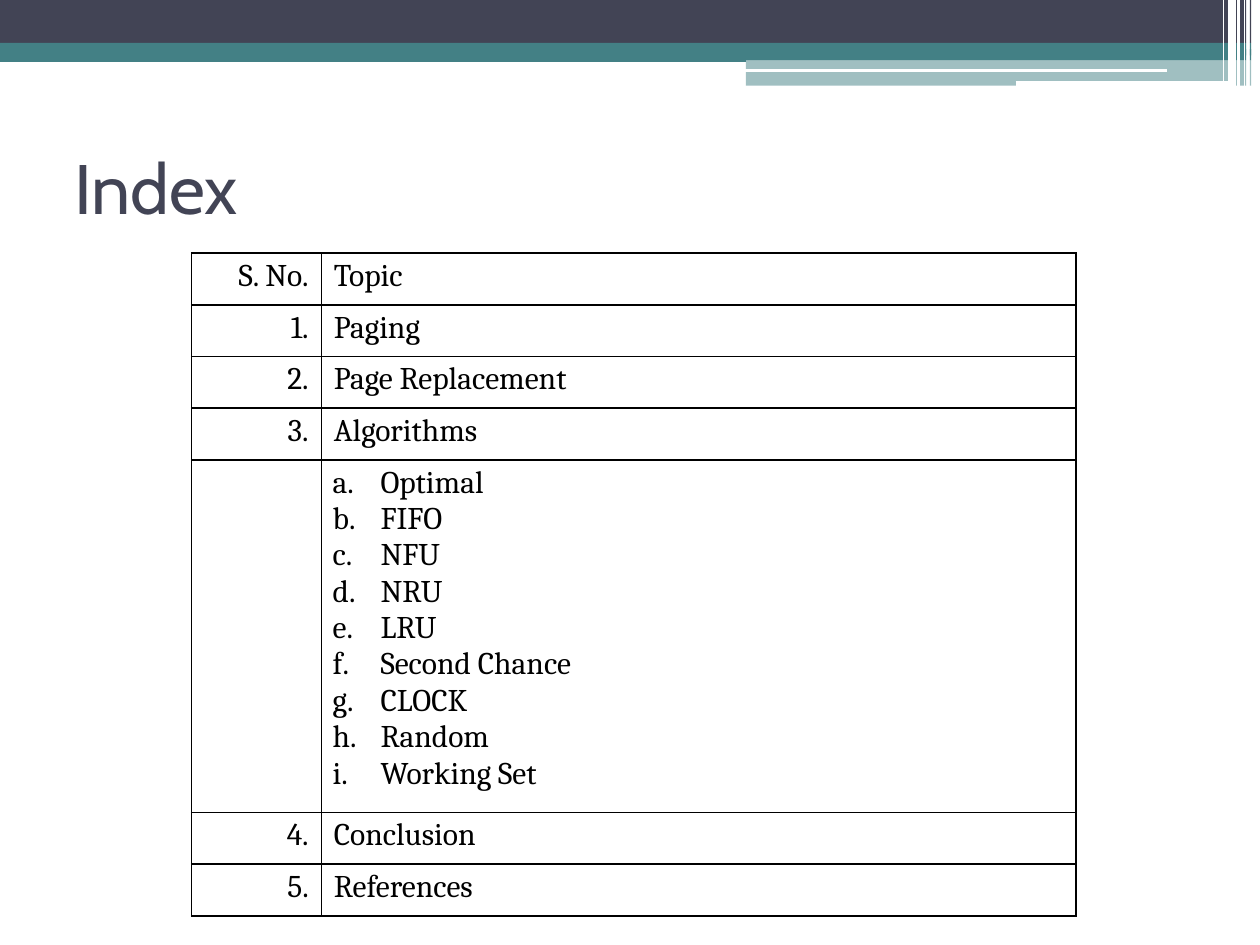
from typing import NamedTuple

from lxml.etree import SubElement
from pptx import Presentation
from pptx.dml.color import RGBColor as RGB
from pptx.enum.shapes import MSO_CONNECTOR as Link, MSO_SHAPE as Kind
from pptx.enum.text import MSO_ANCHOR as Anchor, MSO_AUTO_SIZE as Fit, PP_ALIGN as Align
from pptx.oxml import parse_xml
from pptx.oxml.ns import nsdecls, qn
from pptx.util import Inches, Pt

HUES = {"navy": "424455", "teal": "438085", "white": "FFFFFF", "black": "000000"}
EDGE, SLIT = 9.89, 9.92  # right end of the bands, left side of the sliver


class Band(NamedTuple):
    left: float
    top: float
    high: float
    hue: str
    alpha: int = 100


class Rule(NamedTuple):
    x1: float
    y1: float
    x2: float
    y2: float
    hue: str
    width: float


BANDS = [
    Band(0, 0, 0.34, "navy"),
    Band(0, 0.34, 0.1, "teal"),
    Band(5.92, 0.39, 0.09, "teal"),
    Band(5.92, 0.48, 0.2, "teal", 50),
]
BASE = Rule(0, 0.46, 5.92, 0.46, "teal", 4.08)
RULES = [
    Rule(5.91, 0.56, 9.26, 0.56, "white", 2.16),
    Rule(8.06, 0.66, 9.81, 0.66, "white", 2.88),
    Rule(9.88, 0, 9.88, 0.68, "white", 0.72),
    Rule(9.83, 0, 9.83, 0.68, "white", 2.16),
    Rule(9.78, 0, 9.78, 0.64, "white", 4.32),
    Rule(9.71, 0, 9.71, 0.64, "white", 0.72),
]
ITEMS = ["Optimal", "FIFO", "NFU", "NRU", "LRU", "Second Chance", "CLOCK",
         "Random", "Working Set"]
ROWS = [
    ("S. No.", ["Topic"]),
    ("1.", ["Paging"]),
    ("2.", ["Page Replacement"]),
    ("3.", ["Algorithms"]),
    ("", ITEMS),
    ("4.", ["Conclusion"]),
    ("5.", ["References"]),
]
COLS = [1.03, 5.99]


def tint(name: str) -> RGB:
    return RGB.from_string(HUES[name])


def apply(item, form: dict) -> None:
    for key, value in form.items():
        setattr(item, key, value)


def style(font, face: str, size: float, hue: str) -> None:
    apply(font, {"name": face, "size": Pt(size)})
    font.color.rgb = tint(hue)


def draw_band(slide, band: Band) -> None:
    for left, right in ((SLIT, SLIT + 0.01), (band.left, EDGE)):
        box = slide.shapes.add_shape(
            Kind.RECTANGLE, Inches(left), Inches(band.top),
            Inches(right - left), Inches(band.high))
        box.shadow.inherit = False
        box.line.fill.background()
        box.fill.solid()
        box.fill.fore_color.rgb = tint(band.hue)
        if band.alpha < 100:
            color = box.fill._xPr.find(".//" + qn("a:srgbClr"))
            SubElement(color, qn("a:alpha"), val=str(band.alpha * 1000))


def draw_rule(slide, rule: Rule) -> None:
    line = slide.shapes.add_connector(
        Link.STRAIGHT, *(Inches(n) for n in rule[:4]))
    line.line.color.rgb = tint(rule.hue)
    line.line.width = Pt(rule.width)
    SubElement(line._element.spPr, qn("a:effectLst"))


def frame(cell) -> None:
    """Give a cell no fill and a thin border on each side."""
    cell.fill.background()
    props = cell._tc.get_or_add_tcPr()
    for spot, side in enumerate("LRTB"):
        props.insert(spot, parse_xml(
            f'<a:ln{side} {nsdecls("a")} w="{Pt(1)}"><a:solidFill>'
            f'<a:srgbClr val="{HUES["black"]}"/></a:solidFill></a:ln{side}>'))


def fill_cell(cell, lines: list[str], first: bool) -> None:
    apply(cell, {"margin_left": 0, "margin_top": Inches(0.04),
                 "margin_right": Inches(0.1 if first else 0),
                 "margin_bottom": 0, "vertical_anchor": Anchor.TOP})
    frame(cell)
    for num, text in enumerate(lines):
        para = cell.text_frame.paragraphs[0] if num == 0 else cell.text_frame.add_paragraph()
        apply(para, {"text": text, "space_before": Pt(0 if num else 3),
                     "alignment": Align.RIGHT if first else Align.LEFT})
        style(para.font, "Cambria", 18, "black")
        for run in para.runs:
            style(run.font, "Cambria", 18, "black")
        props = para._p.get_or_add_pPr()
        if len(lines) > 1:
            props.set("marL", str(Inches(0.47)))
            props.set("indent", str(Inches(-0.38)))
            mark = parse_xml(f'<a:buAutoNum {nsdecls("a")} type="alphaLcPeriod"/>')
            props.find(qn("a:spcBef")).addnext(mark)
        elif not first:
            props.set("marL", str(Inches(0.1)))


def draw_table(slide) -> None:
    highs = [2.8 if len(lines) > 1 else 0.41 for _, lines in ROWS]
    table = slide.shapes.add_table(
        len(ROWS), len(COLS), Inches(1.52), Inches(2.01),
        Inches(sum(COLS)), Inches(sum(highs))).table
    apply(table, {"first_row": False, "horz_banding": False})
    for col, wide in zip(table.columns, COLS):
        col.width = Inches(wide)
    for row, high, (label, lines) in zip(table.rows, highs, ROWS):
        row.height = Inches(high)
        fill_cell(row.cells[0], [label], True)
        fill_cell(row.cells[1], lines, False)


def set_title(slide) -> None:
    title = slide.shapes.title
    apply(title, {"left": Inches(0.59), "top": Inches(1.14),
                  "width": Inches(1.38), "height": Inches(0.69)})
    body = title.text_frame
    apply(body, {"text": "Index", "margin_left": 0, "margin_top": Inches(0.01),
                 "margin_right": 0, "margin_bottom": 0, "word_wrap": True,
                 "vertical_anchor": Anchor.TOP, "auto_size": Fit.SHAPE_TO_FIT_TEXT})
    body.paragraphs[0].alignment = Align.LEFT
    style(body.paragraphs[0].runs[0].font, "Cabin", 40, "navy")


def main() -> None:
    deck = Presentation()
    apply(deck, {"slide_width": Inches(10), "slide_height": Inches(7.5)})
    slide = deck.slides.add_slide(deck.slide_layouts[5])
    # Header
    draw_rule(slide, BASE)
    for band in BANDS:
        draw_band(slide, band)
    for rule in RULES:
        draw_rule(slide, rule)
    # Content
    set_title(slide)
    draw_table(slide)
    deck.save("out.pptx")


if __name__ == "__main__":
    main()
